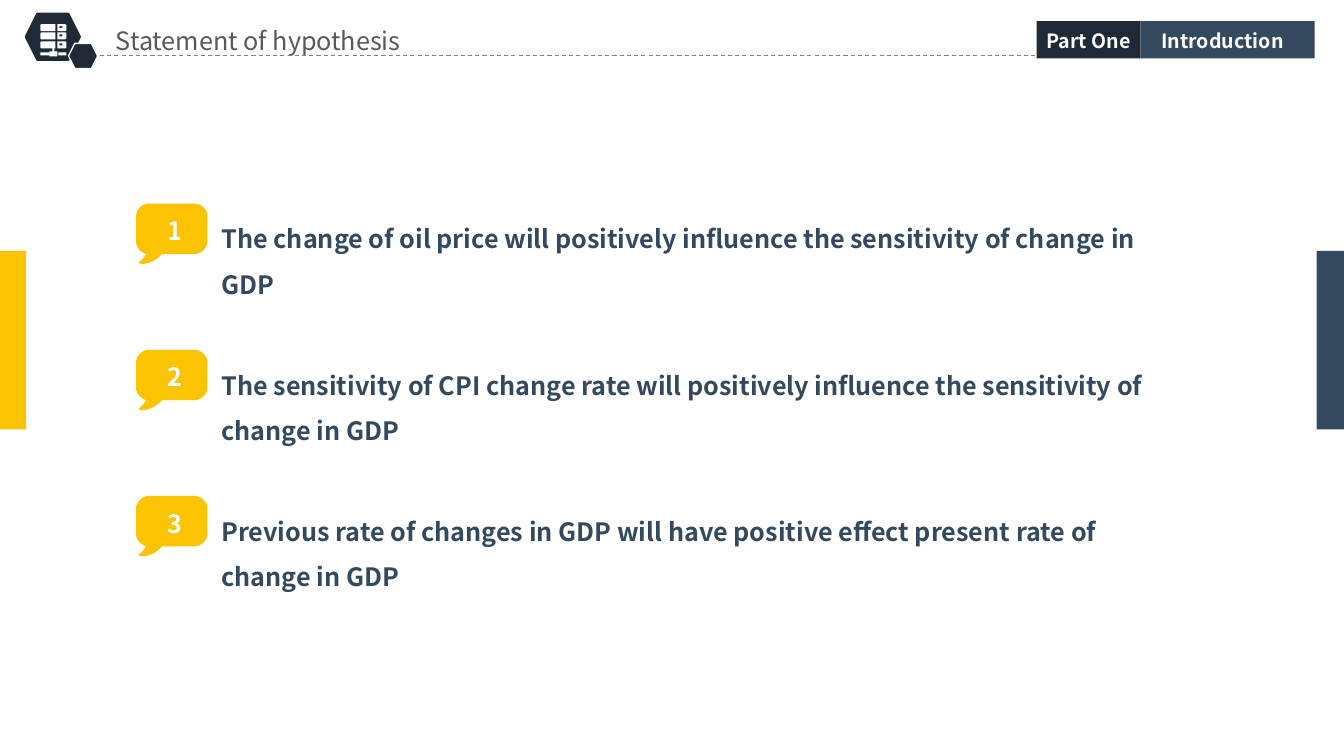
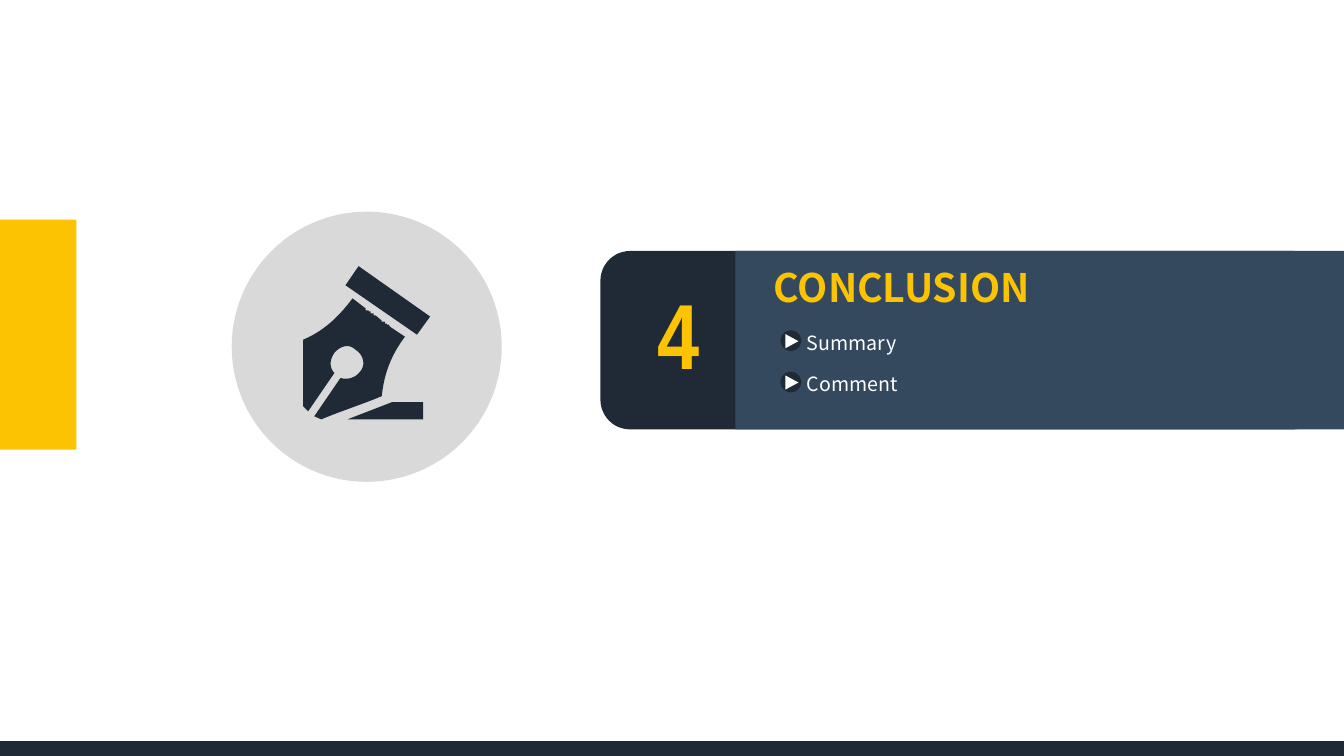
from pptx import Presentation
from pptx.dml.color import RGBColor
from pptx.enum.dml import MSO_LINE
from pptx.enum.shapes import MSO_CONNECTOR, MSO_SHAPE as SHAPE
from pptx.enum.text import MSO_AUTO_SIZE, PP_ALIGN as ALIGN
from pptx.oxml.ns import qn
from pptx.util import Emu, Pt
from lxml import etree

# Shared look
WIDTH, HEIGHT = 1334, 750
EMU_PER_PX = 9144
NAVY, SLATE, YELLOW = "202A36", "34495E", "FBC301"
WHITE, LIGHT_GRAY, GRAY, TEXT_GRAY = "FFFFFF", "D9D9D9", "808080", "595959"
FONT, NUMBER_FONT = "Noto Sans CJK SC", "Arial Narrow"
TIGHT = (7, 4)

HYPOTHESES = [
    "The change of oil price will positively influence the sensitivity of change in GDP",
    "The sensitivity of CPI change rate will positively influence the sensitivity of change in GDP",
    "Previous rate of changes in GDP will have positive effect present rate of change in GDP",
]

# Outlines: a pair is a corner, six numbers are a Bézier curve
BUBBLE = [[
    (58, 0), (13, 0), (6, 0, 0, 6, 0, 13), (0, 37), (0, 43, 4, 48, 10, 50),
    (9, 52, 7, 55, 3, 58), (0, 60, 14, 63, 26, 50), (58, 50),
    (65, 50, 71, 44, 71, 37), (71, 13), (71, 6, 65, 0, 58, 0),
]]
PEN = [
    # Nib with its slit
    [(306, 408), (301, 403), (301, 337), (320, 329, 335, 316, 350, 296),
     (363, 306), (363, 308), (366, 308), (366, 309), (368, 309), (368, 311),
     (371, 311), (371, 313), (373, 313), (379, 318), (379, 319), (382, 319),
     (382, 321), (384, 321), (384, 322), (386, 322), (387, 324), (402, 334),
     (387, 354, 381, 373, 379, 393), (360, 401, 338, 408, 319, 416),
     (312, 413), (338, 375), (345, 377, 353, 375, 358, 368),
     (363, 362, 361, 352, 353, 347), (346, 340, 337, 344, 332, 350),
     (327, 357, 327, 365, 332, 370)],
    # Stroke and cap
    [(345, 416), (420, 416), (420, 399), (389, 399)],
    [(414, 332), (427, 314), (356, 264), (343, 283)],
]


def px(value):
    return Emu(round(value * EMU_PER_PX))


def rgb(value):
    return RGBColor.from_string(value)


def paint(shape, fill, line=None, weight=2):
    shape.shadow.inherit = False
    shape.fill.solid()
    shape.fill.fore_color.rgb = rgb(fill)
    if line:
        shape.line.color.rgb = rgb(line)
        shape.line.width = Pt(weight)
    else:
        shape.line.fill.background()


def add_block(slide, kind, box, fill, line=None, weight=2, rotation=0):
    shape = slide.shapes.add_shape(kind, *map(px, box))
    shape.rotation = rotation
    paint(shape, fill, line, weight)


def add_text(slide, box, text, size=14, color=WHITE, bold=False, font=FONT,
             align=ALIGN.LEFT, margins=TIGHT, spacing=None):
    frame = slide.shapes.add_textbox(*map(px, box)).text_frame
    frame.word_wrap = True
    frame.auto_size = MSO_AUTO_SIZE.SHAPE_TO_FIT_TEXT
    frame.margin_left = frame.margin_right = px(margins[0])
    frame.margin_top = frame.margin_bottom = px(margins[1])
    paragraph = frame.paragraphs[0]
    paragraph.alignment = align
    if spacing:
        paragraph.line_spacing = spacing
    run = paragraph.add_run()
    run.text = text
    run.font.size, run.font.bold, run.font.name = Pt(size), bold, font
    run.font.color.rgb = rgb(color)


def add_dashed_line(slide, left, right, y):
    line = slide.shapes.add_connector(
        MSO_CONNECTOR.STRAIGHT, px(left), px(y), px(right), px(y))
    line.line.color.rgb = rgb(GRAY)
    line.line.width = Pt(0.75)
    line.line.dash_style = MSO_LINE.DASH
    etree.SubElement(line._element.spPr, qn("a:effectLst"))


def flatten(outline, steps=10):
    """Turn corners and Bézier curves into plain points."""
    points = []
    for part in outline:
        if len(part) == 2:
            points.append(part)
            continue
        x0, y0 = points[-1]
        x1, y1, x2, y2, x3, y3 = part
        for step in range(1, steps + 1):
            t = step / steps
            a, b, c, d = (1 - t) ** 3, 3 * t * (1 - t) ** 2, 3 * t * t * (1 - t), t ** 3
            points.append((a * x0 + b * x1 + c * x2 + d * x3,
                           a * y0 + b * y1 + c * y2 + d * y3))
    return points


def add_outline(slide, outlines, fill, left=0, top=0):
    contours = [[(px(left + x), px(top + y)) for x, y in flatten(outline)]
                for outline in outlines]
    builder = slide.shapes.build_freeform(*contours[0][0])
    for index, contour in enumerate(contours):
        if index:
            builder.move_to(*contour[0])
        builder.add_line_segments(contour[1:], close=True)
    paint(builder.convert_to_shape(), fill)


def server_outlines():
    """Three racks, each with a lamp hole, above a network base."""
    outlines = [
        [(40, 52), (49, 52), (49, 51), (52, 51), (52, 48), (54, 48), (54, 51),
         (57, 51), (57, 56), (49, 56), (49, 55), (40, 55)],
        [(58, 52), (66, 52), (66, 55), (58, 55)],
    ]
    for top in (24, 32, 41):
        bottom = top + 7
        outlines += [
            [(41, top), (55, top), (55, bottom), (41, bottom),
             (40, bottom - 1), (40, top + 1)],
            [(57, top), (65, top), (66, top + 1), (66, bottom - 1),
             (65, bottom), (57, bottom)],
            [(59, top + 2), (59, top + 4), (62, top + 4), (62, top + 2)],
        ]
    return outlines


def add_header(slide, title, part, section):
    add_text(slide, (108, 21, 307, 38), title, size=18, color=TEXT_GRAY)
    add_block(slide, SHAPE.HEXAGON, (26, 14, 53, 45), NAVY, NAVY)
    add_dashed_line(slide, 92, 1029, 55)
    add_block(slide, SHAPE.HEXAGON, (68, 43, 29, 25), NAVY, WHITE, 1)
    add_outline(slide, server_outlines(), WHITE)
    # Section tabs
    for left, width, text_left, fill, text in (
            (1029, 103, 1029, NAVY, part), (1132, 173, 1127, SLATE, section)):
        add_block(slide, SHAPE.RECTANGLE, (left, 21, width, 37), fill)
        add_text(slide, (text_left, 25, width, 31), text, bold=True, align=ALIGN.CENTER)


def add_hypothesis(slide, top, number, text):
    add_text(slide, (210, top, 937, 96), text, size=18, color=SLATE, bold=True,
             margins=(10, 5), spacing=1.5)
    add_outline(slide, BUBBLE, YELLOW, 135, top)
    add_text(slide, (156, top + 7, 29, 40), str(number), size=18, bold=True,
             align=ALIGN.CENTER, margins=(10, 5))


def add_topic(slide, top, text):
    add_text(slide, (801, top, 215, 24), text, margins=(0, 0))
    add_block(slide, SHAPE.OVAL, (776, top + 1, 18, 18), NAVY, NAVY)
    add_block(slide, SHAPE.ISOSCELES_TRIANGLE, (779, top + 4, 14, 13), WHITE, rotation=90)


def build_hypothesis_slide(slide):
    add_header(slide, "Statement of hypothesis", "Part One", "Introduction")
    # Side bars
    add_block(slide, SHAPE.RECTANGLE, (0, 249, 26, 177), YELLOW)
    add_block(slide, SHAPE.RECTANGLE, (1307, 249, 27, 177), SLATE)
    for index, text in enumerate(HYPOTHESES):
        add_hypothesis(slide, 202 + 145 * index, index + 1, text)


def build_conclusion_slide(slide):
    # Pen badge and side bar
    add_block(slide, SHAPE.OVAL, (230, 210, 268, 268), LIGHT_GRAY)
    add_block(slide, SHAPE.RECTANGLE, (0, 218, 76, 228), YELLOW)
    add_outline(slide, PEN, NAVY)
    # Chapter banner
    add_block(slide, SHAPE.ROUNDED_RECTANGLE, (596, 249, 717, 177), NAVY)
    add_block(slide, SHAPE.RECTANGLE, (730, 249, 604, 177), SLATE)
    add_text(slide, (643, 270, 39, 121), "4", size=66, color=YELLOW, bold=True,
             font=NUMBER_FONT, align=ALIGN.CENTER, margins=(10, 5))
    add_text(slide, (761, 257, 291, 55), "CONCLUSION", size=28, color=YELLOW, bold=True)
    for index, text in enumerate(("Summary", "Comment")):
        add_topic(slide, 328 + 41 * index, text)
    # Bottom band
    add_block(slide, SHAPE.RECTANGLE, (0, 737, WIDTH, 13), NAVY, NAVY)


def main():
    presentation = Presentation()
    presentation.slide_width, presentation.slide_height = px(WIDTH), px(HEIGHT)
    blank = presentation.slide_layouts[6]
    for build in (build_hypothesis_slide, build_conclusion_slide):
        build(presentation.slides.add_slide(blank))
    presentation.save("out.pptx")


if __name__ == "__main__":
    main()
